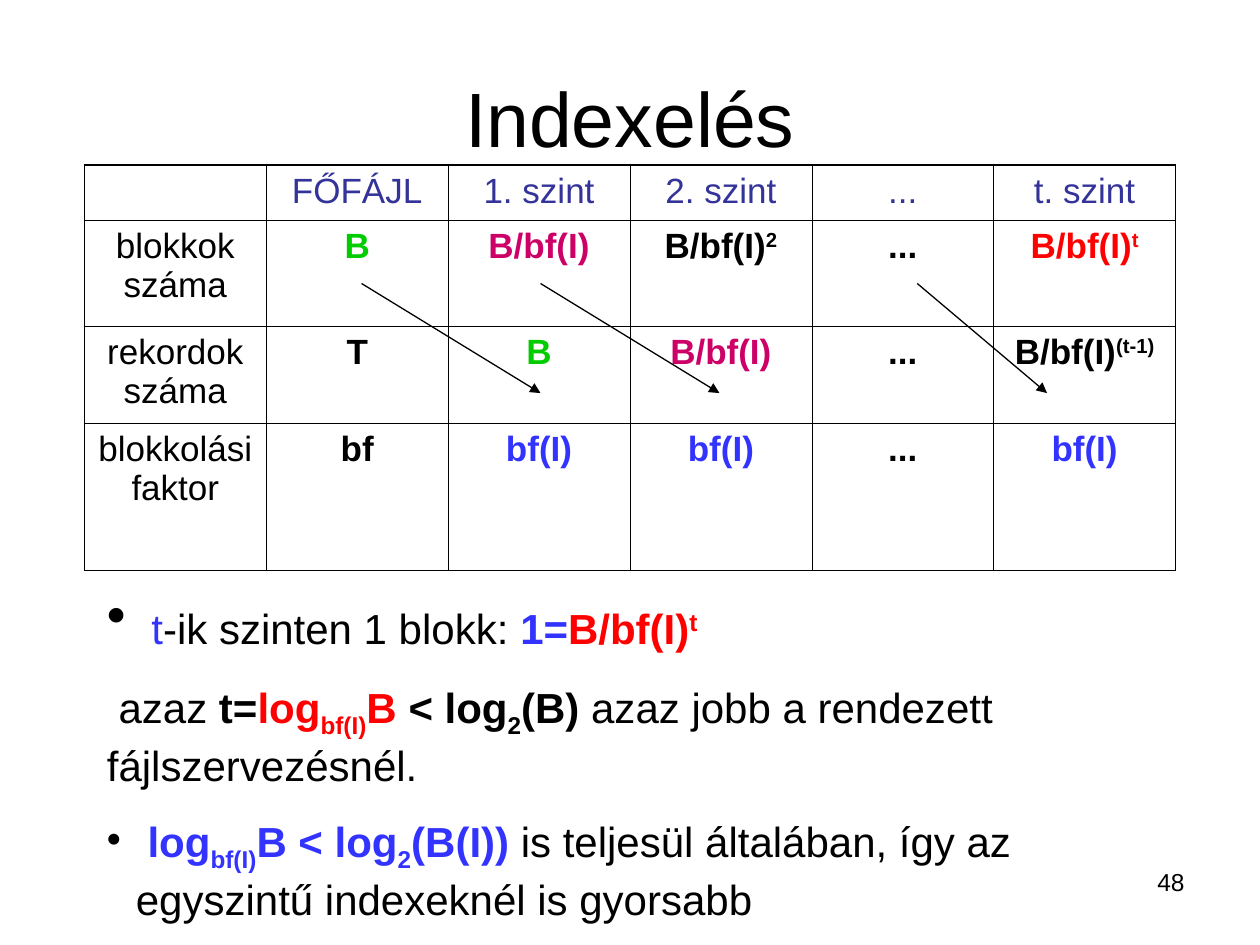
from dataclasses import dataclass
from typing import NamedTuple

from pptx import Presentation
from pptx.dml.color import RGBColor
from pptx.enum.shapes import MSO_CONNECTOR as Connector
from pptx.enum.text import MSO_ANCHOR as Anchor, MSO_AUTO_SIZE as AutoSize, PP_ALIGN as Align
from pptx.oxml.ns import qn
from pptx.util import Inches, Pt
from lxml.etree import SubElement


@dataclass(frozen=True)
class Theme:
    font: str = "Arial"
    black: str = "000000"
    navy: str = "333399"
    green: str = "00CC00"
    pink: str = "CC0066"
    red: str = "FF0000"
    blue: str = "3333FF"
    title_size: float = 44
    lead_size: float = 32
    body_size: float = 24
    cell_size: float = 20
    number_size: float = 14
    outer_line: float = 1.08
    inner_line: float = 0.45
    arrow_line: float = 0.75
    raised: int = 30000
    lowered: int = -25000


THEME = Theme()


class Span(NamedTuple):
    text: str
    color: str = THEME.black
    bold: bool = False
    baseline: int = 0
    size: float = THEME.body_size


class Line(NamedTuple):
    spans: list[Span]
    bullet: bool = False
    align: Align = Align.LEFT


class Arrow(NamedTuple):
    start: float
    end: float


def bold(text: str, color: str = THEME.black, baseline: int = 0) -> Span:
    return Span(text, color, True, baseline)


def add_span(para, span: Span) -> None:
    run = para.add_run()
    run.text = span.text
    formats = {"name": THEME.font, "size": Pt(span.size), "bold": span.bold}
    for name, value in formats.items():
        setattr(run.font, name, value)
    run.font.color.rgb = RGBColor.from_string(span.color)
    if span.baseline:
        run.font._element.set("baseline", str(span.baseline))


def add_bullet(para) -> None:
    props = para._p.get_or_add_pPr()
    props.set("marL", str(Inches(0.23)))
    props.set("indent", str(Inches(-0.23)))
    color = SubElement(props, qn("a:buClr"))
    SubElement(color, qn("a:srgbClr"), val=THEME.black)
    SubElement(props, qn("a:buChar"), char="•")


def write_lines(frame, lines: list[Line], gap: float = 0) -> None:
    for index, line in enumerate(lines):
        para = frame.add_paragraph() if index else frame.paragraphs[0]
        if line.bullet:
            add_bullet(para)
        para.alignment = line.align
        if index:
            para.space_before = Pt(gap)
        for span in line.spans:
            add_span(para, span)


def add_text(page, left: float, top: float, width: float, height: float,
             lines: list[Line], gap: float = 0, **formats) -> None:
    box = page.shapes.add_textbox(Inches(left), Inches(top), Inches(width), Inches(height))
    for name, value in {"word_wrap": True, **formats}.items():
        setattr(box.text_frame, name, value)
    write_lines(box.text_frame, lines, gap)


def add_border(cell, side: str, weight: float) -> None:
    border = SubElement(cell._tc.get_or_add_tcPr(), qn(f"a:ln{side}"), w=str(Pt(weight)))
    fill = SubElement(border, qn("a:solidFill"))
    SubElement(fill, qn("a:srgbClr"), val=THEME.black)


def add_level_table(page, rows: list[list[list[Span]]], heights: list[float]) -> None:
    last_row, last_column = len(rows) - 1, len(rows[0]) - 1
    frame = page.shapes.add_table(len(rows), len(rows[0]), Inches(0.67), Inches(1.31),
                                  Inches(8.66), Inches(sum(heights)))
    table = frame.table
    for row, height in zip(table.rows, heights):
        row.height = Inches(height)
    for row_index, row in enumerate(rows):
        for column_index, spans in enumerate(row):
            cell = table.cell(row_index, column_index)
            outer = {"L": column_index == 0, "R": column_index == last_column,
                     "T": row_index == 0, "B": row_index == last_row}
            for side, is_outer in outer.items():
                add_border(cell, side, THEME.outer_line if is_outer else THEME.inner_line)
            cell.fill.background()
            sized = [span._replace(size=THEME.cell_size) for span in spans]
            write_lines(cell.text_frame, [Line(sized, align=Align.CENTER)])


def add_arrow(page, arrow: Arrow) -> None:
    connector = page.shapes.add_connector(Connector.STRAIGHT, Inches(arrow.start), Inches(2.25),
                                          Inches(arrow.end), Inches(3.12))
    connector.line.width = Pt(THEME.arrow_line)
    connector.line.color.rgb = RGBColor.from_string(THEME.black)
    SubElement(connector.line._get_or_add_ln(), qn("a:tailEnd"), type="triangle")
    SubElement(connector._element.spPr, qn("a:effectLst"))


HEADINGS = ["", "FŐFÁJL", "1. szint", "2. szint", "...", "t. szint"]
DOTS = [bold("...")]
FIRST_LEVEL = [bold("B/bf(I)", THEME.pink)]
BLOCKS = [bold("B", THEME.green)]
FACTOR = [bold("bf(I)", THEME.blue)]
TOP_LEVEL = [bold("B/bf(I)", THEME.red), bold("t", THEME.red, THEME.raised)]

ROWS = [
    [[Span(text, THEME.navy)] if text else [] for text in HEADINGS],
    [[Span("blokkok száma")], BLOCKS, FIRST_LEVEL,
     [bold("B/bf(I)"), bold("2", baseline=THEME.raised)], DOTS, TOP_LEVEL],
    [[Span("rekordok száma")], [bold("T")], BLOCKS, FIRST_LEVEL, DOTS,
     [bold("B/bf(I)"), bold("(t-1)", baseline=THEME.raised)]],
    [[Span("blokkolási faktor")], [bold("bf")], FACTOR, FACTOR, DOTS, FACTOR],
]
ROW_HEIGHTS = [0.44, 0.84, 0.77, 1.17]

ARROWS = [Arrow(2.87, 4.29), Arrow(4.29, 5.71), Arrow(7.28, 8.31)]

BODY = [
    Line([Span(" ", size=THEME.lead_size), Span("t", THEME.blue), Span("-ik szinten 1 blokk: "),
          bold("1=", THEME.blue), *TOP_LEVEL], bullet=True),
    Line([Span(" azaz"), bold(" t="), bold("log", THEME.red),
          bold("bf(I)", THEME.red, THEME.lowered), bold("B ", THEME.red), bold("< log"),
          bold("2", baseline=THEME.lowered), bold("(B)"),
          Span(" azaz jobb a rendezett fájlszervezésnél.")]),
    Line([Span(" "), bold("log", THEME.blue), bold("bf(I)", THEME.blue, THEME.lowered),
          bold("B < log", THEME.blue), bold("2", THEME.blue, THEME.lowered),
          bold("(B(I)) ", THEME.blue),
          Span("is teljesül általában, így az egyszintű indexeknél is gyorsabb")], bullet=True),
]


def main() -> None:
    deck = Presentation()
    deck.slide_width, deck.slide_height = Inches(10), Inches(7.5)
    page = deck.slides.add_slide(deck.slide_layouts[6])
    title = Line([Span("Indexelés", size=THEME.title_size)], align=Align.CENTER)
    add_text(page, 0.5, 0.3, 9, 1.25, [title], vertical_anchor=Anchor.MIDDLE)
    add_level_table(page, ROWS, ROW_HEIGHTS)
    for arrow in ARROWS:
        add_arrow(page, arrow)
    add_text(page, 0.75, 4.62, 8.58, 2.76, BODY, gap=15, auto_size=AutoSize.SHAPE_TO_FIT_TEXT)
    number = Line([Span("48", size=THEME.number_size)], align=Align.RIGHT)
    add_text(page, 7.17, 6.83, 2.33, 0.52, [number])
    deck.save("out.pptx")


if __name__ == "__main__":
    main()
